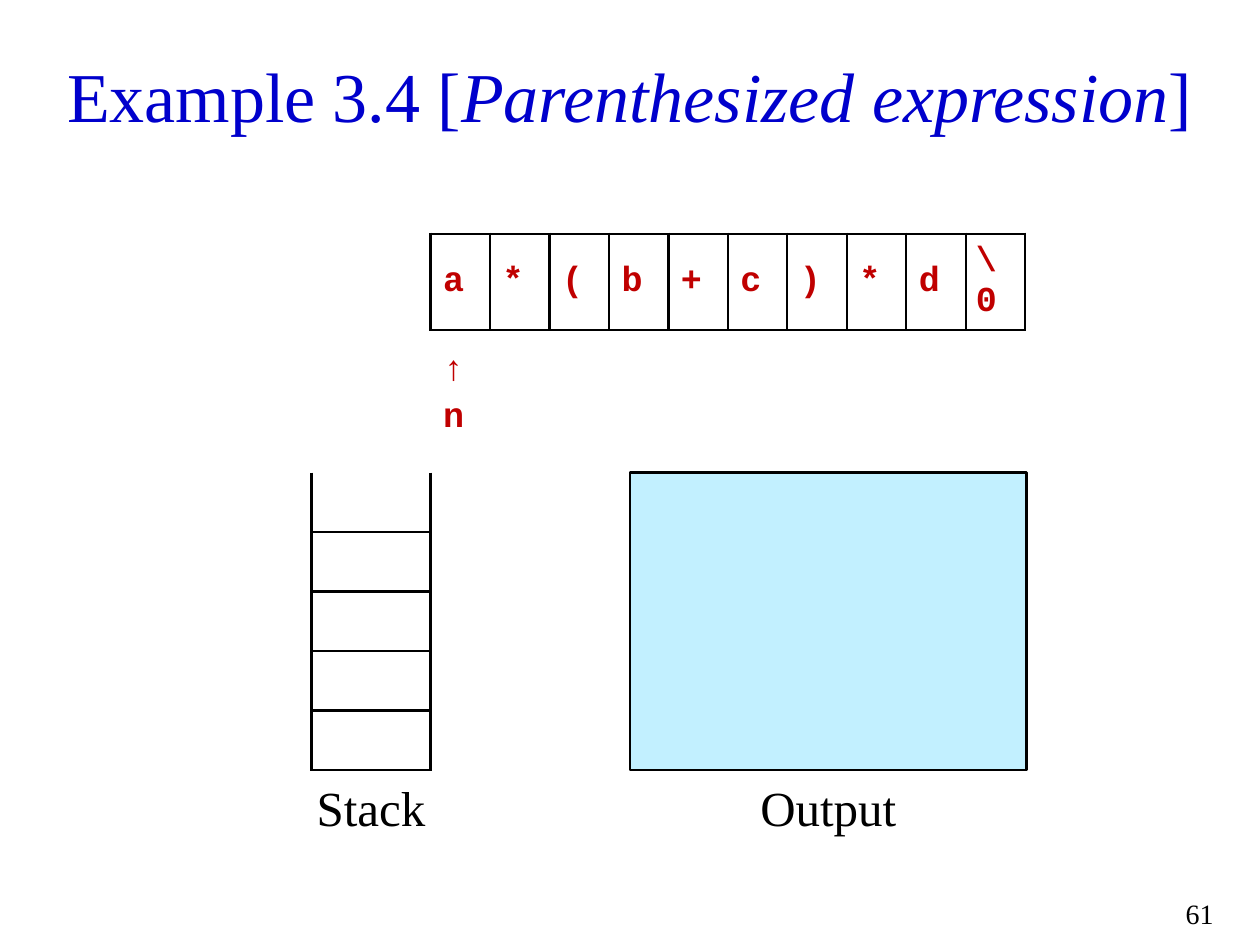
from lxml import etree
from pptx import Presentation
from pptx.dml.color import RGBColor
from pptx.enum.shapes import MSO_SHAPE
from pptx.enum.text import MSO_ANCHOR, PP_ALIGN
from pptx.oxml.ns import qn
from pptx.util import Pt

RECTANGLE = MSO_SHAPE.RECTANGLE
TOP, MIDDLE = MSO_ANCHOR.TOP, MSO_ANCHOR.MIDDLE
CENTER, RIGHT = PP_ALIGN.CENTER, PP_ALIGN.RIGHT

COLORS = {"title": "0000CC", "text": "000000", "line": "000000",
          "symbol": "C00000", "output": "C2F0FF"}
SERIF, MONO = "Times New Roman", "Courier New"
UNIT = 34
LINE_WIDTH = 1.5
SYMBOLS = ["a", "*", "(", "b", "+", "c", ")", "*", "d", "\\0"]


def color(key):
    """Return the named colour."""
    return RGBColor.from_string(COLORS[key])


def style_font(font, name, size, key, bold=False):
    """Set the face, size, colour and weight of a font."""
    font.name, font.size, font.bold = name, Pt(size), bold
    font.color.rgb = color(key)


def add_label(slide, box, runs, size, align, key="text", anchor=TOP):
    """Place one line of serif text made of (text, italic) runs."""
    frame = slide.shapes.add_textbox(*map(Pt, box)).text_frame
    frame.word_wrap = True
    frame.vertical_anchor = anchor
    paragraph = frame.paragraphs[0]
    paragraph.alignment = align
    style_font(paragraph.font, SERIF, size, key)
    for text, italic in runs:
        run = paragraph.add_run()
        run.text = text
        if italic:
            run.font.italic = True


def set_borders(cell, sides):
    """Draw the given sides of a cell and clear the others."""
    properties = cell._tc.get_or_add_tcPr()
    for side in "LRTB":
        border = etree.SubElement(properties, qn(f"a:ln{side}"), w=str(Pt(LINE_WIDTH)))
        if side in sides:
            fill = etree.SubElement(border, qn("a:solidFill"))
            etree.SubElement(fill, qn("a:srgbClr"), val=COLORS["line"])
        else:
            etree.SubElement(border, qn("a:noFill"))
    cell.fill.background()


def add_grid(slide, left, top, rows, columns, column_width, row_sides):
    """Add a plain table whose rows have the given cell borders."""
    table = slide.shapes.add_table(rows, columns, Pt(left), Pt(top),
                                   Pt(columns * column_width), Pt(rows * UNIT)).table
    table.first_row = table.horz_banding = False
    for column in table.columns:
        column.width = Pt(column_width)
    for row, sides in zip(table.rows, row_sides):
        row.height = Pt(UNIT)
        for cell in row.cells:
            set_borders(cell, sides)
    return table


def write_symbol(cell, symbol, anchor=MIDDLE):
    """Write one symbol of the expression in a cell."""
    cell.text = symbol
    cell.vertical_anchor = anchor
    style_font(cell.text_frame.paragraphs[0].font, MONO, 20, "symbol", True)


def add_expression(slide, left, top):
    """Add the row of symbols with the read position below it."""
    table = add_grid(slide, left, top, 3, len(SYMBOLS), UNIT, ["LRTB", "T", ""])
    for column, symbol in enumerate(SYMBOLS):
        write_symbol(table.cell(0, column), symbol)
    end_mark = table.cell(0, len(SYMBOLS) - 1)
    end_mark.margin_left = end_mark.margin_right = Pt(5.7)
    arrow = table.cell(1, 0)
    write_symbol(arrow, "↑")
    arrow.margin_top, arrow.margin_bottom = Pt(11.5), Pt(0)
    write_symbol(table.cell(2, 0), "n", TOP)


def add_stack(slide, left, top, width, depth):
    """Add an empty stack, open at the top, with its caption."""
    add_grid(slide, left, top, depth, 1, width, ["LRB"] + ["LRTB"] * (depth - 1))
    add_label(slide, (left - 12, top + depth * UNIT + 0.5, width + 24, 45),
              [("Stack", False)], 28, CENTER)


def add_output(slide, left, top, width, height):
    """Add the empty output area with its caption."""
    area = slide.shapes.add_shape(RECTANGLE, Pt(left), Pt(top), Pt(width), Pt(height))
    area.shadow.inherit = False
    area.fill.solid()
    area.fill.fore_color.rgb = color("output")
    area.line.color.rgb = color("line")
    area.line.width = Pt(LINE_WIDTH)
    add_label(slide, (left + 57, top + height + 0.5, width - 114, 45),
              [("Output", False)], 28, CENTER)


def main():
    """Build the slide and save it."""
    deck = Presentation()
    deck.slide_width, deck.slide_height = Pt(720), Pt(540)
    slide = deck.slides.add_slide(deck.slide_layouts[6])
    add_label(slide, (19.5, 20, 680.5, 68),
              [("Example 3.4 [", False), ("Parenthesized expression", True), ("]", False)],
              40, CENTER, "title", MIDDLE)
    add_expression(slide, 246, 133.5)
    add_stack(slide, 178, 270, 2 * UNIT, 5)
    add_output(slide, 360, 270, 226.5, 5 * UNIT)
    add_label(slide, (655, 508.5, 45.5, 23), [("61", False)], 16, RIGHT)
    deck.save("out.pptx")


if __name__ == "__main__":
    main()
